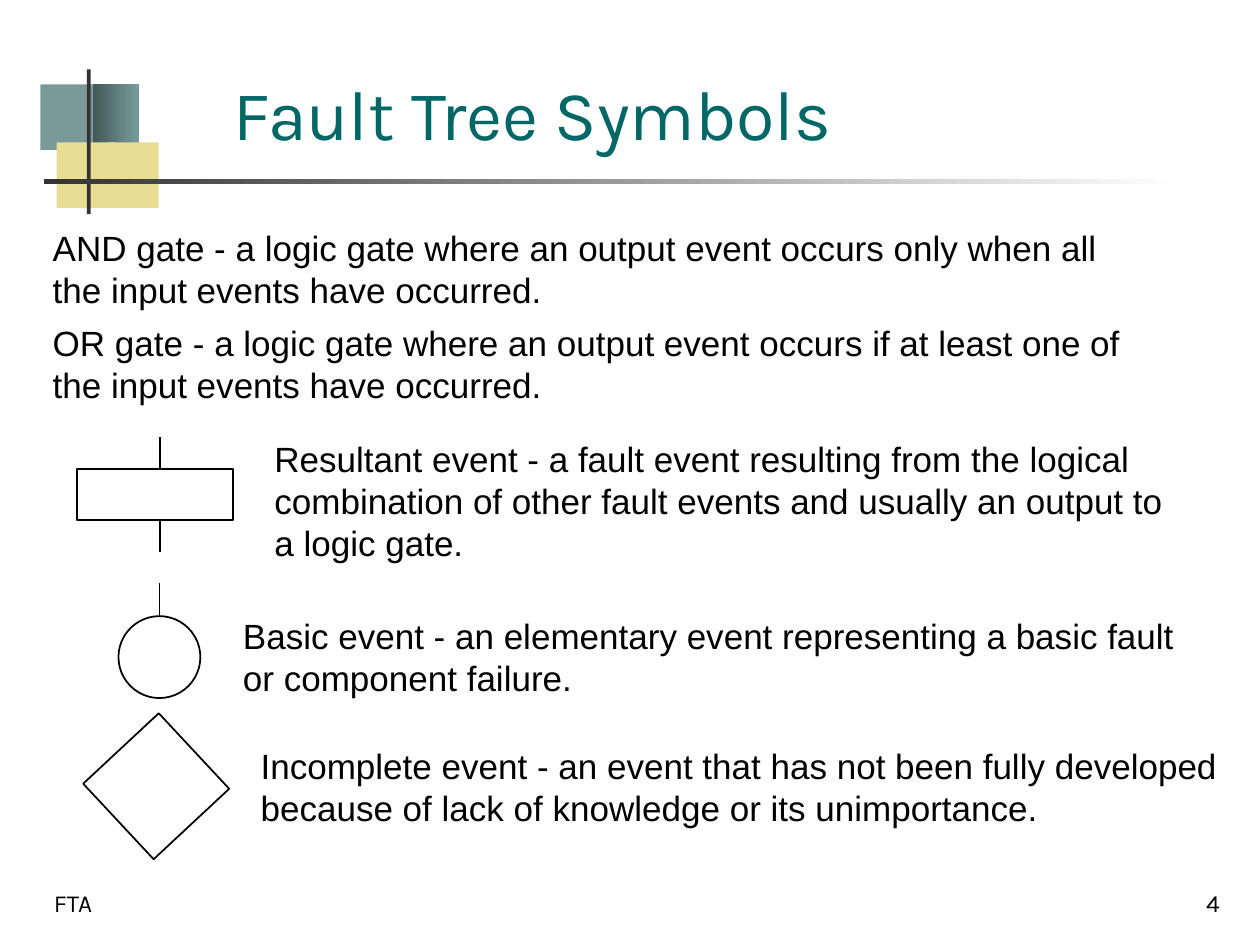
from dataclasses import dataclass

from lxml.etree import SubElement
from pptx import Presentation
from pptx.dml.color import RGBColor
from pptx.enum.shapes import MSO_CONNECTOR, MSO_SHAPE
from pptx.enum.text import MSO_ANCHOR, PP_ALIGN
from pptx.oxml.ns import qn
from pptx.util import Inches, Pt


@dataclass(frozen=True)
class Theme:
    heading: str = "Karla"
    body: str = "Arial"
    title_size: int = 40
    body_size: int = 20
    footer_size: int = 14
    title: str = "006666"
    ink: str = "000000"
    teal: str = "7A9A98"
    teal_fade: tuple = ("435958", "789C9A")
    sand: str = "E7DD95"
    bar: str = "333333"
    rule_fade: tuple = ("333333", "FFFFFF")


T = Theme()


def rgb(value):
    return RGBColor.from_string(value)


def add_preset(s, kind, box, fill=None, line=None):
    """Preset shape; a pair of colours as fill gives a left-to-right gradient."""
    sp = s.shapes.add_shape(kind, *map(Inches, box))
    sp.shadow.inherit = False
    if fill is None:
        sp.fill.background()
    elif isinstance(fill, tuple):
        sp.fill.gradient()
        sp.fill.gradient_angle = 0
        for stop, color in zip(sp.fill.gradient_stops, fill):
            stop.color.rgb = rgb(color)
    else:
        sp.fill.solid()
        sp.fill.fore_color.rgb = rgb(fill)
    if line:
        sp.line.color.rgb = rgb(line)
        sp.line.width = Pt(1)
    else:
        sp.line.fill.background()
    return sp


def add_stem(s, x, top, length=0.25):
    ln = s.shapes.add_connector(
        MSO_CONNECTOR.STRAIGHT, *map(Inches, (x, top, x, top + length)))
    ln.line.color.rgb = rgb(T.ink)
    ln.line.width = Pt(1)
    SubElement(ln._element.spPr, qn("a:effectLst"))
    return ln


def write(tf, lines, font, size, color, align=PP_ALIGN.LEFT):
    for i, line in enumerate(lines):
        p = tf.add_paragraph() if i else tf.paragraphs[0]
        p.text = line
        p.alignment = align
        p.font.name, p.font.size = font, Pt(size)
        p.font.color.rgb = rgb(color)


def definition(s, box, *lines):
    tf = s.shapes.add_textbox(*map(Inches, box)).text_frame
    tf.word_wrap = False
    write(tf, lines, T.body, T.body_size, T.ink)


def ornament(s, box):
    """Overlapping blocks crossed by a vertical bar and a fading rule."""
    x, y, w, h = box
    parts = [
        (0, 0.12, 0.48, 0.52, T.teal),
        (0.42, 0.12, 0.36, 0.52, T.teal_fade),
        (0.13, 0.58, 0.46, 0.52, T.sand),
        (0.54, 0.58, 0.4, 0.52, T.sand),
        (0.37, 0, 0.03, h, T.bar),
        (0.03, 0.87, w - 0.03, 0.04, T.rule_fade),
    ]
    for dx, dy, pw, ph, fill in parts:
        add_preset(s, MSO_SHAPE.RECTANGLE, (x + dx, y + dy, pw, ph), fill)


def heading(s, box, text):
    sp = s.shapes.title
    sp.left, sp.top, sp.width, sp.height = map(Inches, box)
    tf = sp.text_frame
    tf.vertical_anchor = MSO_ANCHOR.BOTTOM
    write(tf, [text], T.heading, T.title_size, T.title)


def resultant_event(s, box):
    x, y, w, h = box
    add_preset(s, MSO_SHAPE.RECTANGLE, (x, y + 0.25, w, h - 0.5), line=T.ink)
    for top in (y, y + h - 0.25):
        add_stem(s, 1.27, top)


def basic_event(s, box):
    x, y, w, h = box
    circle = add_preset(s, MSO_SHAPE.OVAL, (x, y + h - w, w, w), line=T.ink)
    add_stem(s, x + w / 2, y).end_connect(circle, 0)


def incomplete_event(s, box):
    add_preset(s, MSO_SHAPE.RECTANGLE, box, line=T.ink).rotation = 47


def footer(s, box, left, right):
    x, y, w, h = box
    part = 2.08
    for px, text, align in ((x, left, PP_ALIGN.LEFT),
                            (x + w - part, right, PP_ALIGN.RIGHT)):
        tf = s.shapes.add_textbox(*map(Inches, (px, y, part, h))).text_frame
        tf.word_wrap = True
        tf.vertical_anchor = MSO_ANCHOR.BOTTOM
        write(tf, [text], T.heading, T.footer_size, T.ink, align)


def main():
    prs = Presentation()
    prs.slide_width, prs.slide_height = Inches(10), Inches(7.5)
    s = prs.slides.add_slide(prs.slide_layouts[5])

    # Header
    ornament(s, (0.32, 0.55, 9.03, 1.15))
    heading(s, (1.75, 0.42, 7.77, 0.86), "Fault Tree Symbols")

    # Gates
    definition(s, (0.32, 1.75, 8.5, 0.77),
               "AND gate - a logic gate where an output event occurs only when all",
               "the input events have occurred.")
    definition(s, (0.32, 2.5, 8.68, 0.77),
               "OR gate - a logic gate where an output event occurs if at least one of",
               "the input events have occurred.")

    # Events, each with its symbol
    resultant_event(s, (0.61, 3.47, 1.24, 0.91))
    definition(s, (2.08, 3.42, 7.26, 1.1),
               "Resultant event - a fault event resulting from the logical",
               "combination of other fault events and usually an output to",
               "a logic gate.")
    basic_event(s, (0.94, 4.63, 0.65, 0.91))
    definition(s, (1.83, 4.83, 7.6, 0.77),
               "Basic event - an elementary event representing a basic fault",
               "or component failure.")
    incomplete_event(s, (0.83, 5.83, 0.82, 0.82))
    definition(s, (1.97, 5.86, 7.8, 0.77),
               "Incomplete event - an event that has not been fully developed",
               "because of lack of knowledge or its unimportance.")

    footer(s, (0.33, 6.83, 9.45, 0.5), "FTA", "4")
    prs.save("out.pptx")


if __name__ == "__main__":
    main()
